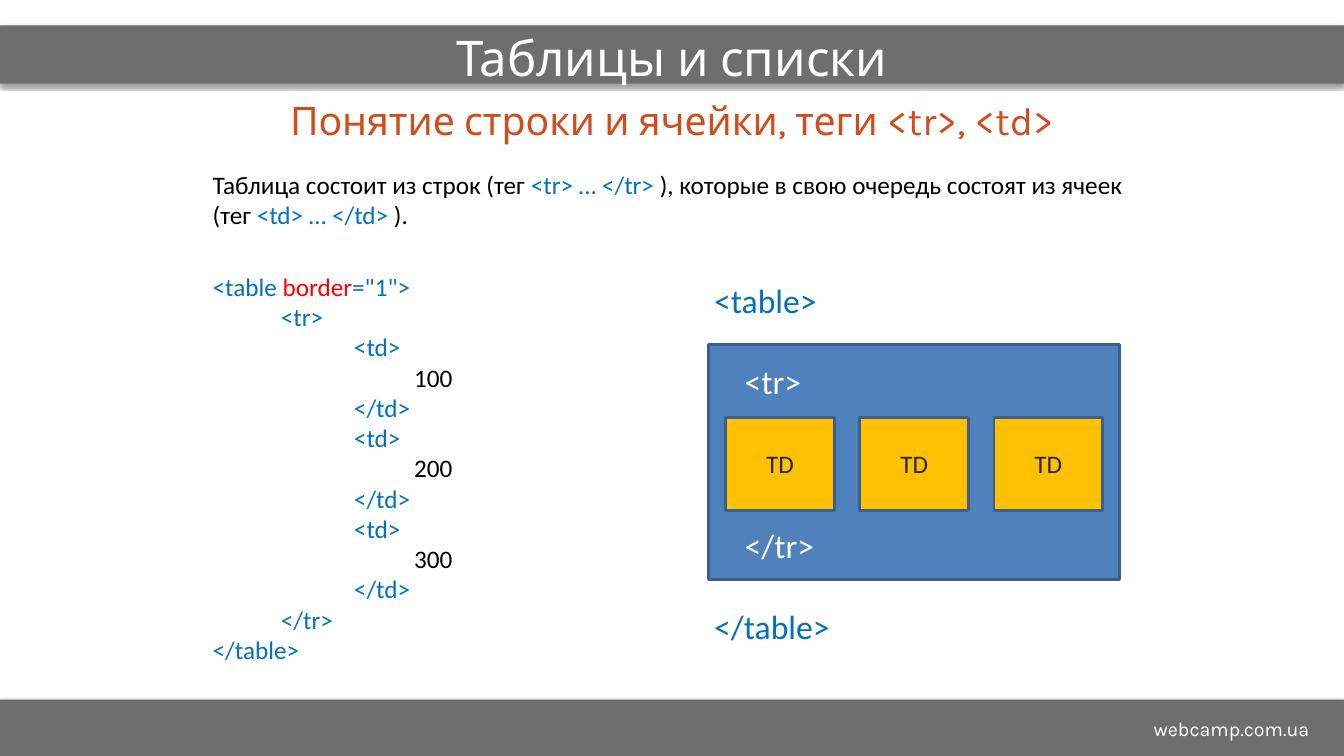
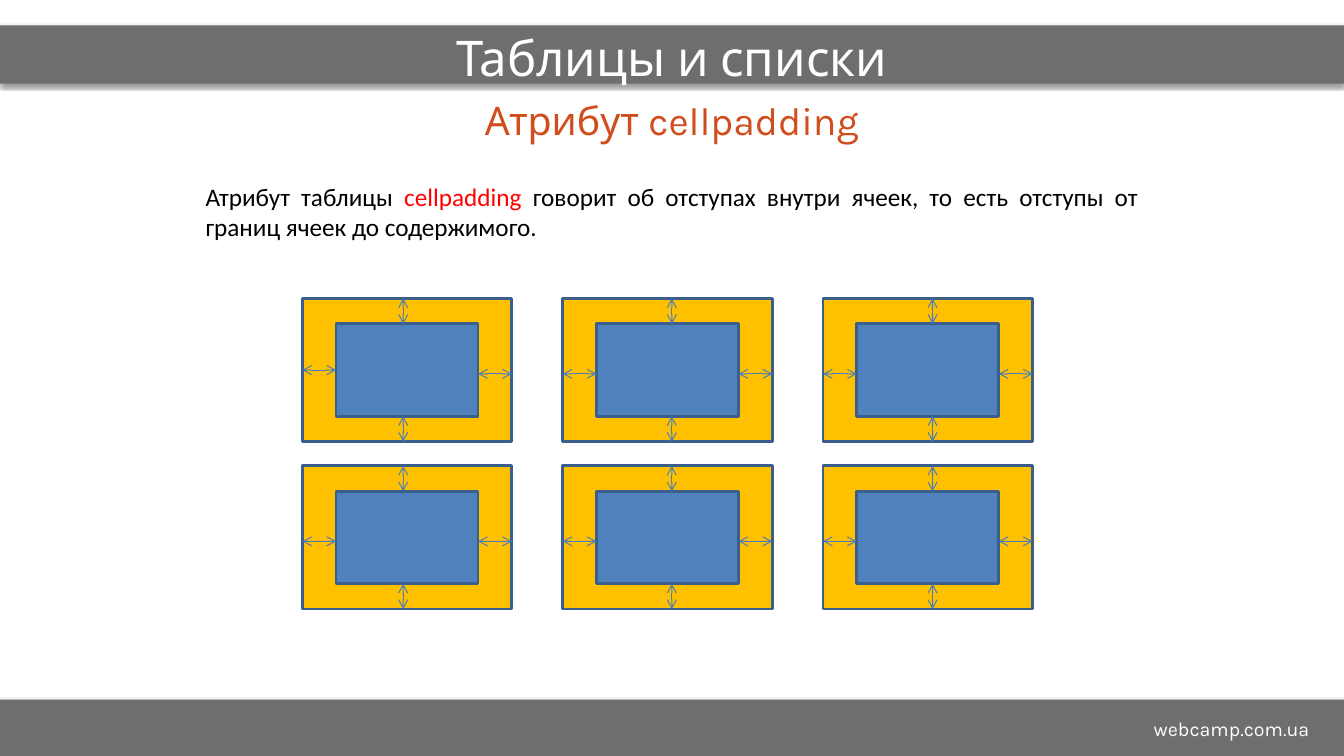
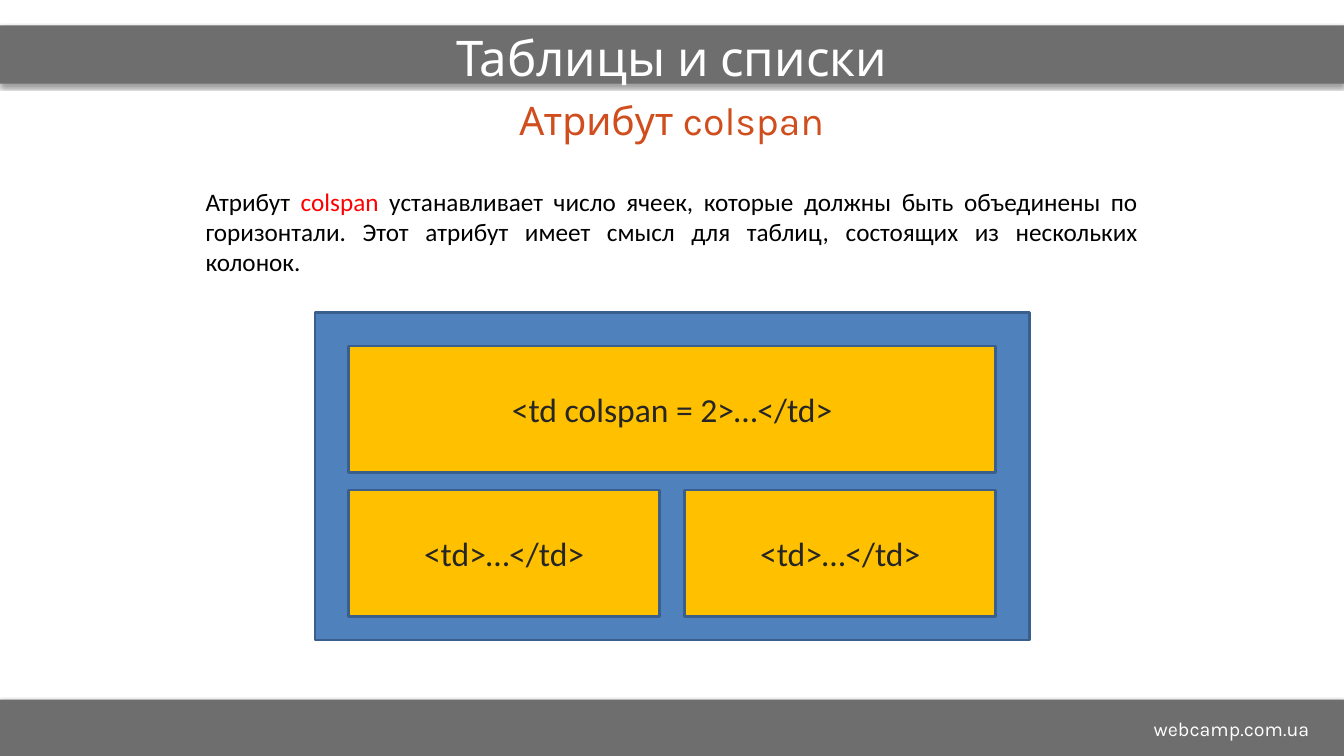
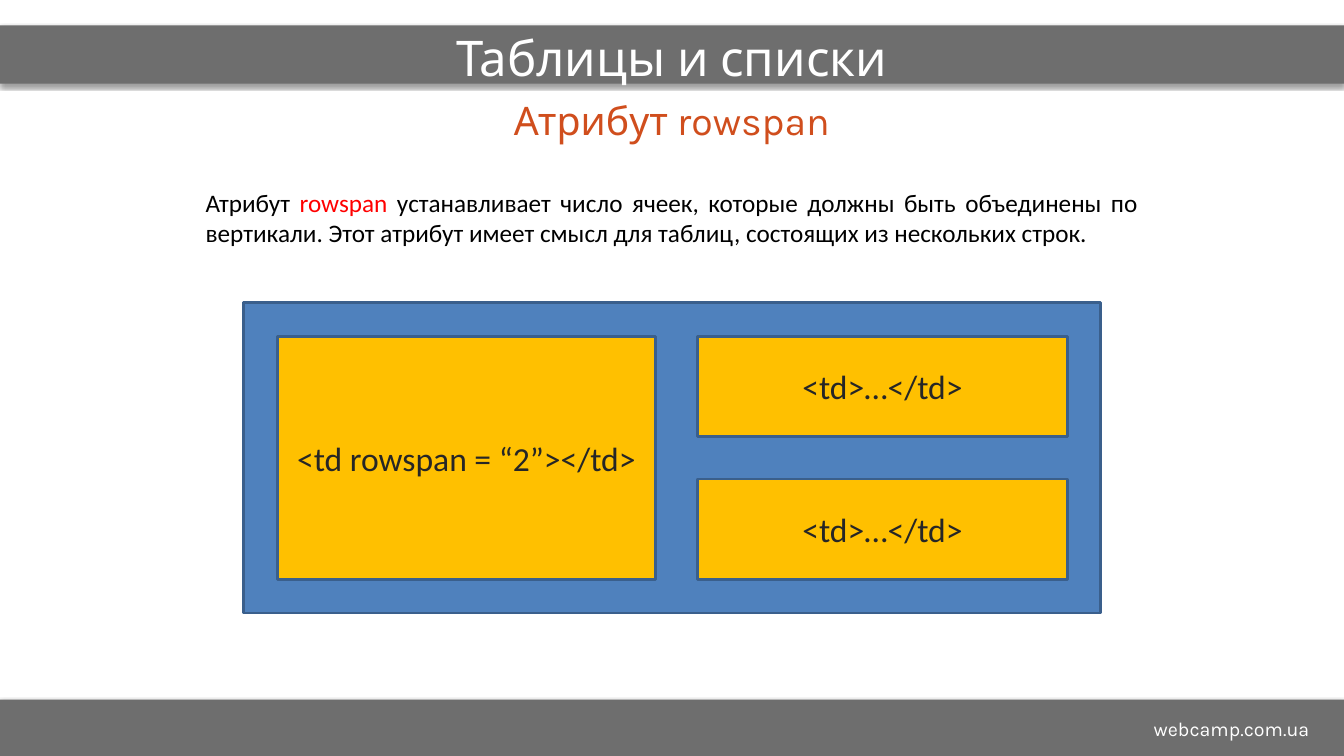
from lxml import etree
from pptx import Presentation
from pptx.dml.color import RGBColor
from pptx.enum.shapes import MSO_CONNECTOR as Connector, MSO_SHAPE as Preset
from pptx.enum.text import MSO_ANCHOR as Anchor, PP_ALIGN as Align
from pptx.oxml.ns import qn
from pptx.util import Cm, Pt

# Shared style
WHITE, BLACK, GREY, ORANGE = "FFFFFF", "000000", "6E6E6E", "D04E1D"
TAG, ATTRIBUTE, CELL_TEXT = "0070C0", "FF0000", "262626"
BLUE, YELLOW, EDGE, ARROW = "4F81BD", "FFC000", "3A5F8C", "4B7EBC"
HEADING_FONT, BODY_FONT = "Karla", "Calibri"
SLIDE_W, SLIDE_H = 33.87, 19.05
BAND_H = 1.47

# Content: a paragraph is a list of (text, colour)
COURSE = "Таблицы и списки"
SITE = "webcamp.com.ua"

ROWS_TITLE = "Понятие строки и ячейки, теги <tr>, <td>"
ROWS_INTRO = [
    ("Таблица состоит из строк (тег ", BLACK), ("<tr> … </tr> ", TAG),
    ("), которые в свою очередь состоят из ячеек (тег ", BLACK),
    ("<td> … </td> ", TAG), (").", BLACK),
]
CELL_VALUES = ["100", "200", "300"]
ROW_LEAD, CELL_LEAD, VALUE_LEAD = " " * 12, " " * 16, " " * 20 + "\t"
TREE = [("<table>", TAG, 0), ("    <tr>", WHITE, 1),
        ("    </tr>", WHITE, 3), ("</table>", TAG, 1)]  # text, colour, lines skipped

PADDING_TITLE = "Атрибут cellpadding"
PADDING_INTRO = [
    ("Атрибут таблицы ", BLACK), ("cellpadding ", ATTRIBUTE),
    ("говорит об отступах внутри ячеек, то есть отступы от границ ячеек "
     "до содержимого.", BLACK),
]

CELL = "<td>…</td>"
SPANS = [
    dict(title="Атрибут colspan",
         intro=[("Атрибут ", BLACK), ("colspan", ATTRIBUTE),
                (" устанавливает число ячеек, которые должны быть объединены по "
                 "горизонтали. Этот атрибут имеет смысл для таблиц, состоящих из "
                 "нескольких колонок.", BLACK)],
         intro_box=(4.93, 4.57, 24, 2.57), frame=(7.94, 7.87, 18, 8.26),
         widths=(7.83, 7.83), height=3.18, gaps=(0.64, 0.45),
         cells=[("<td colspan = 2>…</td>", 0, 0, 2, 1),
                (CELL, 0, 1, 1, 1), (CELL, 1, 1, 1, 1)]),
    dict(title="Атрибут rowspan",
         intro=[("Атрибут ", BLACK), ("rowspan", ATTRIBUTE),
                (" устанавливает число ячеек, которые должны быть объединены по "
                 "вертикали. Этот атрибут имеет смысл для таблиц, состоящих из "
                 "нескольких строк.", BLACK)],
         intro_box=(4.93, 4.6, 24, 1.8), frame=(6.14, 7.62, 21.59, 7.83),
         widths=(9.53, 9.32), height=2.54, gaps=(1.06, 1.06),
         cells=[("<td rowspan = “2”></td>", 0, 0, 1, 2),
                (CELL, 1, 0, 1, 1), (CELL, 1, 1, 1, 1)]),
]  # cell: text, column, row, columns spanned, rows spanned


def rgb(colour):
    return RGBColor.from_string(colour)


def write(shape, paragraphs, size, font=BODY_FONT, align=Align.LEFT, anchor=Anchor.TOP):
    frame = shape.text_frame
    frame.word_wrap = True
    frame.vertical_anchor = anchor
    for number, runs in enumerate(paragraphs):
        paragraph = frame.add_paragraph() if number else frame.paragraphs[0]
        paragraph.alignment = align
        for text, colour in runs:
            run = paragraph.add_run()
            run.text = text
            run.font.size, run.font.name = Pt(size), font
            run.font.color.rgb = rgb(colour)
    return frame.paragraphs


def add_text(slide, box, paragraphs, size, **style):
    return write(slide.shapes.add_textbox(*map(Cm, box)), paragraphs, size, **style)


def add_box(slide, box, fill, edge=EDGE):
    shape = slide.shapes.add_shape(Preset.RECTANGLE, *map(Cm, box))
    shape.shadow.inherit = False
    shape.fill.solid()
    shape.fill.fore_color.rgb = rgb(fill)
    if edge:
        shape.line.color.rgb = rgb(edge)
        shape.line.width = Pt(2)
    else:
        shape.line.fill.background()
    return shape


def add_cell(slide, box, text, size):
    write(add_box(slide, box, YELLOW), [[(text, CELL_TEXT)]], size,
          align=Align.CENTER, anchor=Anchor.MIDDLE)


def add_band(slide, top):
    band = add_box(slide, (0, top, SLIDE_W, BAND_H), GREY, edge=None)
    effects = band._element.spPr.find(qn("a:effectLst"))
    shadow = etree.SubElement(effects, qn("a:outerShdw"), blurRad=str(Pt(3.1)),
                              dist=str(Pt(1.6)), dir="5400000", rotWithShape="0")
    tint = etree.SubElement(shadow, qn("a:srgbClr"), val=BLACK)
    etree.SubElement(tint, qn("a:alpha"), val="38000")


def add_arrow(slide, x1, y1, x2, y2):
    arrow = slide.shapes.add_connector(Connector.STRAIGHT, *map(Cm, (x1, y1, x2, y2)))
    arrow.line.color.rgb = rgb(ARROW)
    arrow.line.width = Pt(0.75)
    line = arrow.line._get_or_add_ln()
    for end in ("a:headEnd", "a:tailEnd"):
        etree.SubElement(line, qn(end), type="arrow")
    etree.SubElement(arrow._element.spPr, qn("a:effectLst"))
    return arrow


def new_slide(prs, title):
    slide = prs.slides.add_slide(prs.slide_layouts[6])
    centred = dict(font=HEADING_FONT, align=Align.CENTER, anchor=Anchor.MIDDLE)
    add_text(slide, (5.5, 2.24, 22.86, 1.57), [[(title, ORANGE)]], 28, **centred)
    add_band(slide, 17.63)
    add_text(slide, (11.23, 17.93, 22.02, 0.86), [[(SITE, WHITE)]], 14,
             font=HEADING_FONT, align=Align.RIGHT)
    add_band(slide, 0.64)
    add_text(slide, (5.5, 0.64, 22.86, 1.57), [[(COURSE, WHITE)]], 35.1, **centred)
    return slide


def rows_slide(prs):
    slide = new_slide(prs, ROWS_TITLE)
    add_text(slide, (5.11, 4.14, 23.65, 1.8), [ROWS_INTRO], 18)

    # Diagram of one row
    add_box(slide, (17.86, 8.69, 10.36, 5.92), BLUE)
    for column in range(len(CELL_VALUES)):
        add_cell(slide, (18.29 + 3.38 * column, 10.52, 2.74, 2.34), "TD", 18)
    tags = add_text(slide, (17.75, 6.93, 3.6, 9.5),
                    [[(text, colour)] for text, colour, _ in TREE], 24)
    for paragraph, (_, _, skipped) in zip(tags, TREE):
        if skipped:
            paragraph.space_before = Pt(29.3 * skipped)

    # Code listing
    cells = []
    for value in CELL_VALUES:
        cells += [[(CELL_LEAD + "<td>", TAG)],
                  [(VALUE_LEAD, TAG), (value, BLACK)],
                  [(CELL_LEAD + "</td>", TAG)]]
    opening = [[("<table ", TAG), ("border", ATTRIBUTE), ('="1">', TAG)],
               [(ROW_LEAD + "<tr>", TAG)]]
    closing = [[(ROW_LEAD + "</tr>", TAG)], [("</table>", TAG)]]
    lines = add_text(slide, (5.11, 6.71, 11, 10.26), opening + cells + closing, 18)
    for line in lines[len(opening):-len(closing)]:
        line._p.get_or_add_pPr().set("marL", str(Cm(1.27)))


def padding_slide(prs):
    slide = new_slide(prs, PADDING_TITLE)
    width, height, pad_x, pad_y = 5.28, 3.61, 0.85, 0.64
    arrow_columns = (10.16, 16.93, 23.5)
    for row in range(2):
        for column, middle_x in enumerate(arrow_columns):
            left, top = 7.62 + 6.56 * column, 7.52 + 4.22 * row
            right, bottom, middle_y = left + width, top + height, top + 1.9
            outer = add_box(slide, (left, top, width, height), YELLOW)
            inner = add_box(slide, (left + pad_x, top + pad_y,
                                    width - 2 * pad_x, height - 2 * pad_y), BLUE)
            first = add_arrow(slide, left, middle_y, left + pad_x, middle_y)
            if row == column == 0:
                first.begin_connect(outer, 1)
                first.end_connect(inner, 1)
            add_arrow(slide, right - pad_x, middle_y, right, middle_y)
            add_arrow(slide, middle_x, top, middle_x, top + pad_y)
            add_arrow(slide, middle_x, bottom - pad_y, middle_x, bottom)
    add_text(slide, (4.93, 4.45, 24, 1.8), [PADDING_INTRO], 18, align=Align.JUSTIFY)


def span_slide(prs, span):
    slide = new_slide(prs, span["title"])
    add_text(slide, span["intro_box"], [span["intro"]], 18, align=Align.JUSTIFY)
    add_box(slide, span["frame"], BLUE)
    pad = 0.85
    left, top = span["frame"][0] + pad, span["frame"][1] + pad
    widths, height, (gap_x, gap_y) = span["widths"], span["height"], span["gaps"]
    for text, column, row, columns, rows in span["cells"]:
        x = left + sum(widths[:column]) + gap_x * column
        y = top + (height + gap_y) * row
        w = sum(widths[column:column + columns]) + gap_x * (columns - 1)
        h = height * rows + gap_y * (rows - 1)
        add_cell(slide, (x, y, w, h), text, 24)


def main():
    prs = Presentation()
    prs.slide_width, prs.slide_height = Cm(SLIDE_W), Cm(SLIDE_H)
    rows_slide(prs)
    padding_slide(prs)
    for span in SPANS:
        span_slide(prs, span)
    prs.save("out.pptx")


if __name__ == "__main__":
    main()
